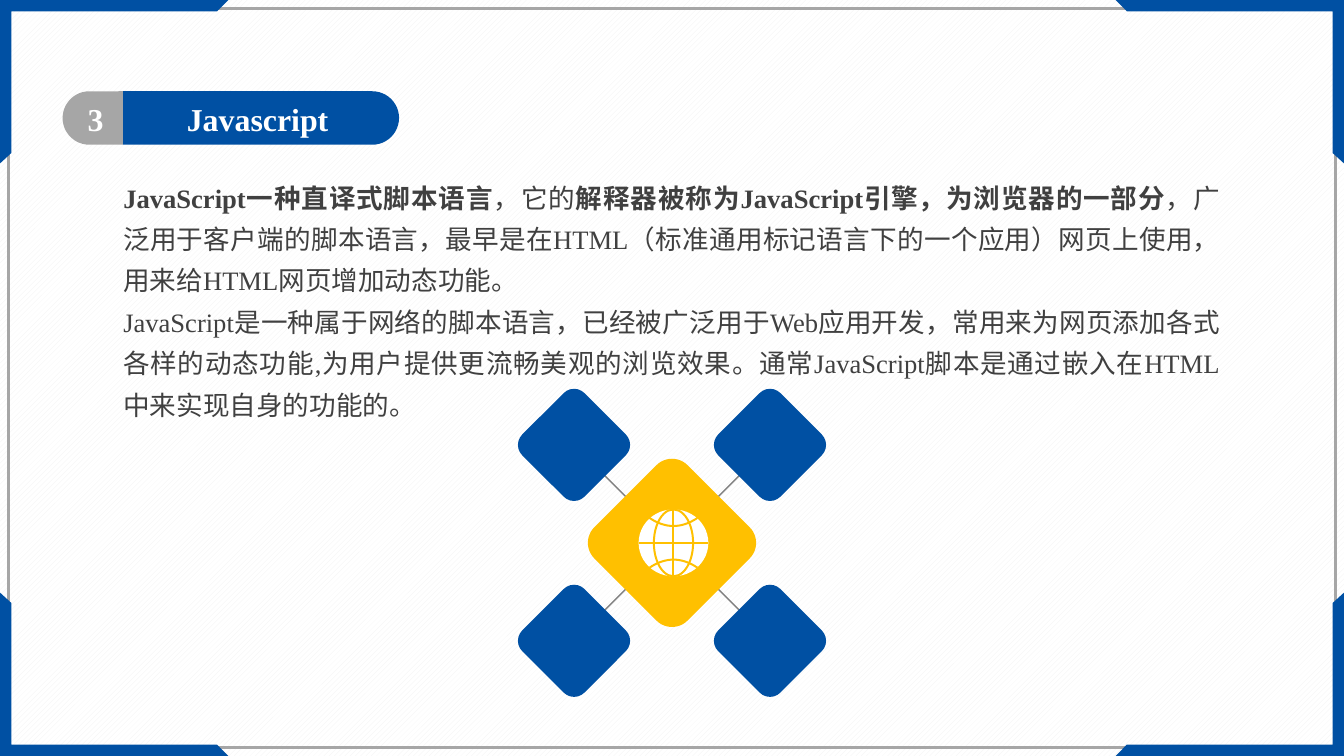
from itertools import product

from lxml import etree
from pptx import Presentation
from pptx import util as u
from pptx.dml.color import RGBColor
from pptx.enum import dml, shapes, text
from pptx.oxml.ns import qn

BLUE = RGBColor(0x00, 0x50, 0xA3)
GOLD = RGBColor(0xFF, 0xC0, 0x00)
WHITE = RGBColor(0xFF, 0xFF, 0xFF)
STRIPE = RGBColor(0xF2, 0xF2, 0xF2)
SILVER = RGBColor(0xA6, 0xA6, 0xA6)
GREY = RGBColor(0x80, 0x80, 0x80)
INK = RGBColor(0x40, 0x40, 0x40)
FONT = "Times New Roman"
COLS, ROWS = 100, 56.26
CELL = u.Inches(14.06) / COLS
HUB = (50, 40.4)
GLOBE = (50.11, 40.4)
SIGNS = list(product((-1, 1), repeat=2))
BODY = [
    [("JavaScript一种直译式脚本语言", True),
     ("，它的", False),
     ("解释器被称为JavaScript引擎，为浏览器的一部分", True),
     ("，广泛用于客户端的脚本语言，最早是在HTML（标准通用标记语言下的一个应用）网页上使用，"
      "用来给HTML网页增加动态功能。", False)],
    [("JavaScript是一种属于网络的脚本语言，已经被广泛用于Web应用开发，常用来为网页添加各式各样的"
      "动态功能,为用户提供更流畅美观的浏览效果。通常JavaScript脚本是通过嵌入在HTML中来实现自身的"
      "功能的。", False)],
]


def grid(*cells):
    """Turn grid cells into lengths."""
    return [u.Emu(round(c * CELL)) for c in cells]


def paint(sp, fill=None, line=None, width=1.5):
    """Set the fill and outline of a shape, without shadow."""
    sp.shadow.inherit = False
    if fill is None:
        sp.fill.background()
    else:
        sp.fill.solid()
        sp.fill.fore_color.rgb = fill
    if line is None:
        sp.line.fill.background()
    else:
        sp.line.color.rgb = line
        sp.line.width = u.Pt(width)
    return sp


def centred(s, kind, centre, w, h, rotation=0, **style):
    """Add a preset shape around a centre point."""
    left, top = centre[0] - w / 2, centre[1] - h / 2
    sp = s.shapes.add_shape(kind, *grid(left, top, w, h))
    sp.rotation = rotation
    return paint(sp, **style)


def outline(s, points, close, **style):
    """Add a freeform through grid points."""
    points = [grid(*point) for point in points]
    builder = s.shapes.build_freeform(*points[0])
    builder.add_line_segments(points[1:], close=close)
    return paint(builder.convert_to_shape(), **style)


def connect(s, start, end, color, width):
    """Add a straight line between two grid points."""
    line = s.shapes.add_connector(
        shapes.MSO_CONNECTOR.STRAIGHT, *grid(*start, *end))
    line.line.color.rgb = color
    line.line.width = u.Pt(width)
    etree.SubElement(line.element.spPr, qn("a:effectLst"))


def write(sp, paragraphs, size, color, align, spacing=1.0, inset=(0.15, 0.08)):
    """Write paragraphs of (wording, bold) runs into a shape."""
    tf = sp.text_frame
    tf.word_wrap = True
    tf.auto_size = text.MSO_AUTO_SIZE.NONE
    tf.vertical_anchor = text.MSO_ANCHOR.TOP
    tf.margin_left = tf.margin_right = u.Inches(inset[0])
    tf.margin_top = tf.margin_bottom = u.Inches(inset[1])
    for i, runs in enumerate(paragraphs):
        p = tf.add_paragraph() if i else tf.paragraphs[0]
        p.alignment = align
        p.line_spacing = spacing
        p.space_before = u.Pt(0)
        for wording, bold in runs:
            r = p.add_run()
            r.text = wording
            r.font.name = FONT
            r.font.size = u.Pt(size)
            r.font.bold = bold
            r.font.color.rgb = color


def add_frame(s):
    """Draw the thin frame and its four corner brackets."""
    centred(s, shapes.MSO_SHAPE.RECTANGLE, (COLS / 2, ROWS / 2),
            COLS - 1.28, ROWS - 1.28, line=SILVER, width=2)
    bracket = [(0, 0), (17, 0), (16.15, 0.85), (0.85, 0.85), (0.85, 11.38), (0, 12.16)]
    for right, bottom in product((False, True), repeat=2):
        points = [(COLS - x if right else x, ROWS - y if bottom else y)
                  for x, y in bracket]
        outline(s, points, True, fill=BLUE)


def add_pill_half(s, left, width, rotation, color):
    """Draw one round-ended half of the heading pill."""
    sp = centred(s, shapes.MSO_SHAPE.ROUND_2_SAME_RECTANGLE,
                 (left + width / 2, 8.78), 3.98, width, rotation, fill=color)
    sp.adjustments[0] = 0.5
    return sp


def add_heading(s):
    """Draw the heading pill with its number and title."""
    pill = add_pill_half(s, 9.14, 20.55, 90, BLUE)
    add_pill_half(s, 4.66, 4.48, 270, SILVER)
    title = s.shapes.title
    title.left, title.top, title.width, title.height = grid(9.6, 6.83, 19.13, 3.98)
    pill.element.addnext(title.element)
    number = s.shapes.add_textbox(*grid(4.98, 6.83, 4.27, 3.98))
    for sp, wording in ((title, "Javascript"), (number, "3")):
        write(sp, [[(wording, True)]], 24, WHITE, text.PP_ALIGN.CENTER)


def add_globe(s):
    """Draw the globe with its meridians and parallels."""
    cx, cy = GLOBE
    oval = shapes.MSO_SHAPE.OVAL
    centred(s, oval, GLOBE, 5.19, 4.98, fill=WHITE)
    centred(s, oval, GLOBE, 2.92, 4.98, line=GOLD)
    connect(s, (cx - 2.6, cy), (cx + 2.6, cy), GOLD, 1.5)
    connect(s, (cx, cy - 2.49), (cx, cy + 2.49), GOLD, 1.5)
    for side in (-1, 1):
        arc = [(cx + 1.78 * t / 8, cy + side * (1.25 + 0.6 * (t / 8) ** 2))
               for t in range(-8, 9)]
        outline(s, arc, False, line=GOLD)


def add_diagram(s):
    """Draw four diamonds linked to a central globe."""
    cx, cy = HUB
    diamond = shapes.MSO_SHAPE.ROUNDED_RECTANGLE
    for dx, dy in SIGNS:
        connect(s, (cx + 2.74 * dx, cy + 2.74 * dy),
                (cx + 5.48 * dx, cy + 5.48 * dy), GREY, 1)
    for dx, dy in SIGNS:
        centred(s, diamond, (cx + 7.29 * dx, cy + 7.29 * dy), 6.54, 6.54, 45, fill=BLUE)
    centred(s, diamond, HUB, 9.81, 9.81, 45, fill=GOLD)
    add_globe(s)


def main():
    """Build and save the slide."""
    prs = Presentation()
    prs.slide_width, prs.slide_height = grid(COLS, ROWS)
    s = prs.slides.add_slide(prs.slide_layouts[5])
    fill = s.background.fill
    fill.patterned()
    fill.pattern = dml.MSO_PATTERN.WIDE_UPWARD_DIAGONAL
    fill.fore_color.rgb = STRIPE
    fill.back_color.rgb = WHITE
    add_frame(s)
    body = s.shapes.add_textbox(*grid(8.53, 12.45, 82.86, 19.06))
    write(body, BODY, 20, INK, text.PP_ALIGN.JUSTIFY, 1.3, (0.09, 0.05))
    add_heading(s)
    add_diagram(s)
    prs.save("out.pptx")


if __name__ == "__main__":
    main()
